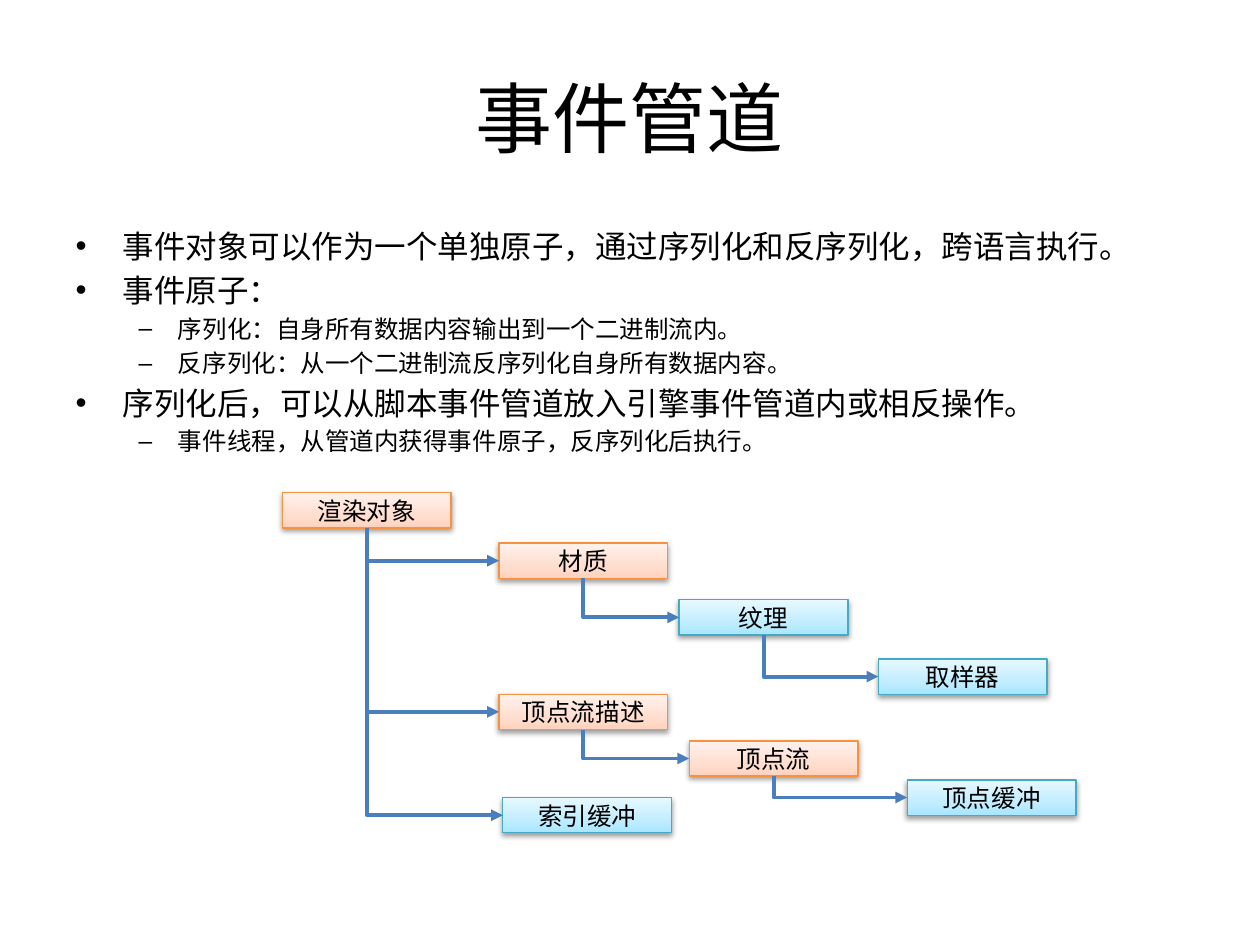
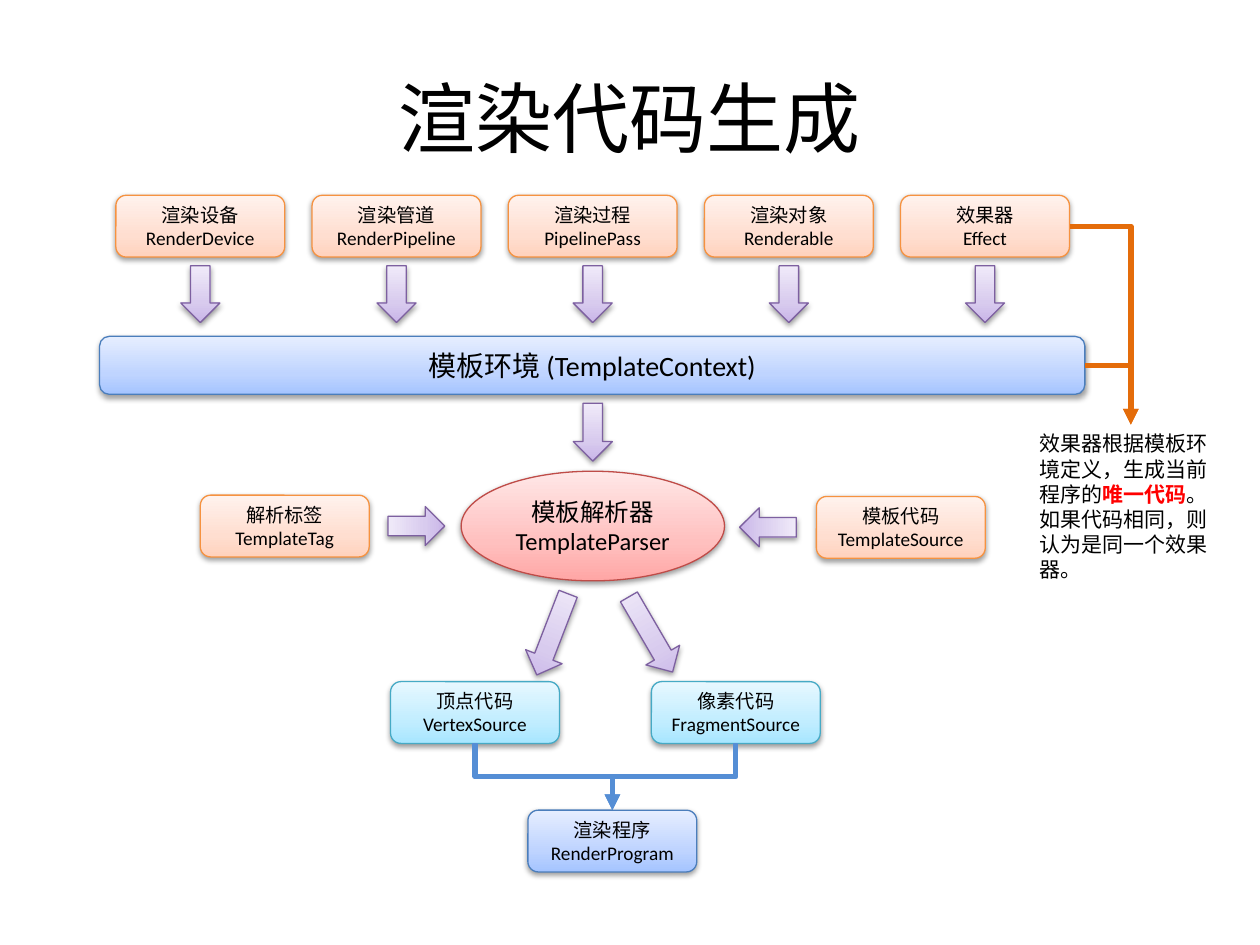
from dataclasses import dataclass

from lxml import etree
from pptx import Presentation
from pptx.dml.color import RGBColor
from pptx.enum.shapes import MSO_CONNECTOR, MSO_SHAPE
from pptx.enum.text import MSO_ANCHOR, PP_ALIGN
from pptx.oxml import parse_xml
from pptx.oxml.ns import nsdecls, qn
from pptx.util import Inches, Pt

RECT = MSO_SHAPE.RECTANGLE
ROUNDED = MSO_SHAPE.ROUNDED_RECTANGLE
ELLIPSE = MSO_SHAPE.OVAL
DOWN_ARROW = MSO_SHAPE.DOWN_ARROW
ELBOW = MSO_CONNECTOR.ELBOW
CENTER = PP_ALIGN.CENTER
MIDDLE = MSO_ANCHOR.MIDDLE
TOP, LEFT, BOTTOM, RIGHT = range(4)

FONT = "Calibri"
BLACK = RGBColor(0x00, 0x00, 0x00)
RED = RGBColor(0xFF, 0x00, 0x00)
FLOW_BLUE = RGBColor(0x4B, 0x7E, 0xBC)
MERGE_BLUE = RGBColor(0x55, 0x8E, 0xD5)
EFFECT_ORANGE = RGBColor(0xE4, 0x6C, 0x0A)

COLUMNS = 100
STOP_POSITIONS = (0, 35, 100)


@dataclass(frozen=True)
class Palette:
    line: RGBColor
    stops: tuple[RGBColor, RGBColor, RGBColor]


@dataclass(frozen=True)
class Area:
    col: float
    row: float
    cols: float
    rows: float


@dataclass(frozen=True)
class Node:
    label: str
    col: float
    row: float
    palette: Palette
    parent: str = ""


@dataclass(frozen=True)
class Arrow:
    col: float
    row: float
    rows: float = 4.5
    rotation: float = 0


def palette(line: str, *stops: str) -> Palette:
    return Palette(RGBColor.from_string(line), tuple(map(RGBColor.from_string, stops)))


ORANGE = palette("F69240", "FFD2BD", "FFDED0", "FFF2ED")
CYAN = palette("46AAC5", "A7E6FF", "C1EDFF", "E7F8FF")
PURPLE = palette("7D60A0", "C9B5E8", "D8CBEE", "F0EAF9")
BLUE = palette("4B7EBC", "A4C4FF", "BFD4FF", "E6EEFF")
PINK = palette("BF4C48", "FFA6A5", "FFC0BF", "FFE7E7")

BOX_COLS = 13.4
NODE_ROWS = 2.8
CARD_ROWS = 4.9
ARROW_COLS = 3.1
INPUT_PITCH = 15.57

BULLETS = [
    (0, "事件对象可以作为一个单独原子，通过序列化和反序列化，跨语言执行。"),
    (0, "事件原子："),
    (1, "序列化：自身所有数据内容输出到一个二进制流内。"),
    (1, "反序列化：从一个二进制流反序列化自身所有数据内容。"),
    (0, "序列化后，可以从脚本事件管道放入引擎事件管道内或相反操作。"),
    (1, "事件线程，从管道内获得事件原子，反序列化后执行。"),
]
BULLET_SIZES = (18, 14)

NODES = [
    Node("渲染对象", 22.4, 39.1, ORANGE),
    Node("材质", 39.6, 43.1, ORANGE, "渲染对象"),
    Node("纹理", 53.9, 47.6, CYAN, "材质"),
    Node("取样器", 69.7, 52.3, CYAN, "纹理"),
    Node("顶点流描述", 39.6, 55.1, ORANGE, "渲染对象"),
    Node("顶点流", 54.7, 58.8, ORANGE, "顶点流描述"),
    Node("顶点缓冲", 72, 61.9, CYAN, "顶点流"),
    Node("索引缓冲", 39.9, 63.3, CYAN, "渲染对象"),
]

INPUTS = [
    "渲染设备\nRenderDevice",
    "渲染管道\nRenderPipeline",
    "渲染过程\nPipelinePass",
    "渲染对象\nRenderable",
    "效果器\nEffect",
]

PARSER_ARROWS = [
    Arrow(45.5, 32, 4.6),
    Arrow(31.5, 39.5, rotation=270),
    Arrow(59.4, 39.6, rotation=90),
    Arrow(42.3, 46.9, 6.9, 21.1),
    Arrow(50.1, 46.9, 6.9, 329.8),
]

prs = Presentation()
prs.slide_width, prs.slide_height = Inches(10), Inches(7.5)
CELL = prs.slide_width // COLUMNS


def emu(area: Area) -> list[int]:
    return [round(n * CELL) for n in (area.col, area.row, area.cols, area.rows)]


def place(sp, area: Area) -> None:
    sp.left, sp.top, sp.width, sp.height = emu(area)


def style_run(r, size: float, color: RGBColor = BLACK, bold: bool = False) -> None:
    r.font.name, r.font.size, r.font.bold = FONT, Pt(size), bold
    r.font.color.rgb = color


def style_text(tf, size: float) -> None:
    for p in tf.paragraphs:
        for r in p.runs:
            style_run(r, size)


def new_slide(layout: int, title: str):
    s = prs.slides.add_slide(prs.slide_layouts[layout])
    sp = s.shapes.title
    place(sp, Area(5, 3, 90, 12.5))
    sp.text_frame.text = title
    sp.text_frame.vertical_anchor = MIDDLE
    sp.text_frame.paragraphs[0].alignment = CENTER
    style_text(sp.text_frame, 44)
    return s


def glossy(sp, colors: Palette) -> None:
    sp.line.color.rgb = colors.line
    sp.line.width = Pt(0.75)
    stops = "".join(
        f'<a:gs pos="{pos * 1000}"><a:srgbClr val="{color}"/></a:gs>'
        for pos, color in zip(STOP_POSITIONS, colors.stops)
    )
    props = sp._element.spPr
    props.find(qn("a:ln")).addprevious(parse_xml(
        f'<a:gradFill {nsdecls("a")} rotWithShape="1"><a:gsLst>{stops}</a:gsLst>'
        '<a:lin ang="16200000" scaled="0"/></a:gradFill>'
    ))
    props.append(parse_xml(
        f'<a:effectLst {nsdecls("a")}><a:outerShdw blurRad="40000" dist="20000" '
        'dir="5400000" rotWithShape="0"><a:srgbClr val="000000">'
        '<a:alpha val="38000"/></a:srgbClr></a:outerShdw></a:effectLst>'
    ))


def add_box(s, kind, area: Area, colors: Palette, label: str, size: float):
    sp = s.shapes.add_shape(kind, *emu(area))
    glossy(sp, colors)
    tf = sp.text_frame
    tf.text = label
    tf.vertical_anchor = MIDDLE
    for p in tf.paragraphs:
        p.alignment = CENTER
    style_text(tf, size)
    return sp


def add_card(s, label: str, col: float, row: float, colors: Palette):
    return add_box(s, ROUNDED, Area(col, row, BOX_COLS, CARD_ROWS), colors, label, 11)


def add_arrow(s, arrow: Arrow) -> None:
    area = Area(arrow.col, arrow.row, ARROW_COLS, arrow.rows)
    sp = s.shapes.add_shape(DOWN_ARROW, *emu(area))
    sp.rotation = arrow.rotation
    glossy(sp, PURPLE)


def add_elbow(s, start, side: int, end, end_side: int, color: RGBColor,
              weight: float) -> None:
    c = s.shapes.add_connector(ELBOW, 0, 0, 0, 0)
    c.begin_connect(start, side)
    c.end_connect(end, end_side)
    x, y = c.begin_x, c.begin_y
    dx, dy = c.end_x - x, c.end_y - y
    props = c._element.spPr
    if side == BOTTOM:
        c.width, c.height = abs(dy), abs(dx)
        c.left = x + (dx - c.width) // 2
        c.top = y + (dy - c.height) // 2
        c.rotation = 270 if dx > 0 else 90
        props.xfrm.flipH = dx > 0
    if {side, end_side} != {TOP, BOTTOM}:
        props.find(qn("a:prstGeom")).set("prst", "bentConnector2")
    c.line.color.rgb = color
    c.line.width = Pt(weight)
    etree.SubElement(props.find(qn("a:ln")), qn("a:tailEnd"), type="triangle")
    etree.SubElement(props, qn("a:effectLst"))


def build_event_pipeline() -> None:
    s = new_slide(1, "事件管道")
    body = s.placeholders[1]
    place(body, Area(5, 17.5, 90, 49.5))
    tf = body.text_frame
    tf.text = "\n".join(text for _, text in BULLETS)
    for p, (level, _) in zip(tf.paragraphs, BULLETS):
        p.level = level
        style_run(p.runs[0], BULLET_SIZES[level])

    boxes = {}
    for node in NODES:
        area = Area(node.col, node.row, BOX_COLS, NODE_ROWS)
        boxes[node.label] = add_box(s, RECT, area, node.palette, node.label, 14)
        if node.parent:
            add_elbow(s, boxes[node.parent], BOTTOM, boxes[node.label], LEFT,
                      FLOW_BLUE, 2.25)


def add_effect_note(s):
    note = s.shapes.add_textbox(*emu(Area(81.5, 33.7, 16.5, 13.1)))
    tf = note.text_frame
    tf.word_wrap = True
    p = tf.paragraphs[0]
    for text, color, bold in (
        ("效果器根据模板环境定义，生成当前程序的", BLACK, False),
        ("唯一代码", RED, True),
        ("。", BLACK, False),
    ):
        r = p.add_run()
        r.text = text
        style_run(r, 12, color, bold)
    r = tf.add_paragraph().add_run()
    r.text = "如果代码相同，则认为是同一个效果器。"
    style_run(r, 12)
    return note


def build_code_generation() -> None:
    s = new_slide(5, "渲染代码生成")
    for i, label in enumerate(INPUTS):
        col = 9.2 + i * INPUT_PITCH
        effect = add_card(s, label, col, 15.5, ORANGE)
        add_arrow(s, Arrow(col + (BOX_COLS - ARROW_COLS) / 2, 21.1))
    context = add_box(s, ROUNDED, Area(7.9, 26.7, 78.2, 4.6), BLUE,
                      "模板环境 (TemplateContext)", 16)
    add_box(s, ELLIPSE, Area(36.6, 37.4, 20.9, 8.7), PINK,
            "模板解析器\nTemplateParser", 14)
    for arrow in PARSER_ARROWS:
        add_arrow(s, arrow)
    add_card(s, "解析标签\nTemplateTag", 15.9, 39.3, ORANGE)
    add_card(s, "模板代码\nTemplateSource", 64.8, 39.4, ORANGE)
    vertex = add_card(s, "顶点代码\nVertexSource", 31, 54.1, CYAN)
    fragment = add_card(s, "像素代码\nFragmentSource", 51.7, 54.1, CYAN)
    program = add_card(s, "渲染程序\nRenderProgram", 41.9, 64.3, BLUE)
    note = add_effect_note(s)
    for source in (effect, context):
        add_elbow(s, source, RIGHT, note, TOP, EFFECT_ORANGE, 3)
    for source in (vertex, fragment):
        add_elbow(s, source, BOTTOM, program, TOP, MERGE_BLUE, 3)


build_event_pipeline()
build_code_generation()
prs.save("out.pptx")
